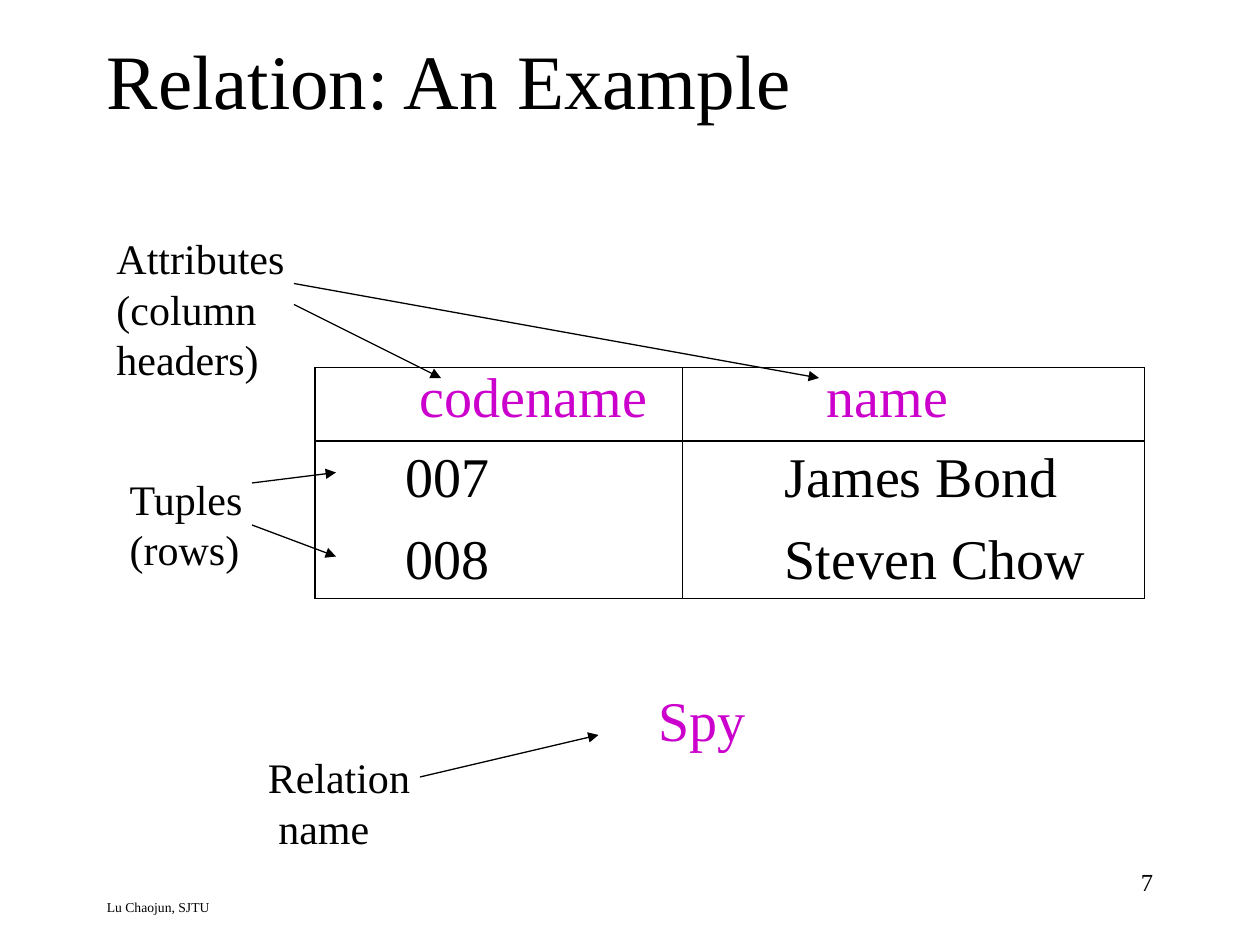
from lxml import etree
from pptx import Presentation
from pptx.dml.color import RGBColor
from pptx.enum import shapes, text
from pptx.oxml import ns
from pptx.util import Pt

HUES = {"ink": "000000", "key": "CC00CC"}
FACE = "Times New Roman"
LINE = 0.74


def style(run, size, hue="ink"):
    """Give a run its face, size and colour."""
    for name, value in {"name": FACE, "size": Pt(size)}.items():
        setattr(run.font, name, value)
    run.font.color.rgb = RGBColor.from_string(HUES[hue])


def add_text(slide, box, lines, size, hue="ink", pitch=None,
             align=text.PP_ALIGN.LEFT, **frame):
    """Place a text box with one paragraph per line."""
    body = slide.shapes.add_textbox(*map(Pt, box)).text_frame
    look = {"word_wrap": True, "margin_left": Pt(7.2), "margin_right": Pt(7.2),
            "margin_top": Pt(3.6), "margin_bottom": Pt(3.6), **frame}
    for name, value in look.items():
        setattr(body, name, value)
    for i, line in enumerate(lines):
        para = body.add_paragraph() if i else body.paragraphs[0]
        para.alignment = align
        if pitch:
            para.line_spacing = Pt(pitch)
        run = para.add_run()
        run.text = line
        style(run, size, hue)


def add_arrow(slide, start, end):
    """Draw a thin arrow from start to end."""
    arrow = slide.shapes.add_connector(
        shapes.MSO_CONNECTOR.STRAIGHT, *map(Pt, start + end))
    arrow.line.width = Pt(LINE)
    arrow.line.color.rgb = RGBColor.from_string(HUES["ink"])
    props = arrow.line._get_or_add_ln()
    etree.SubElement(props, ns.qn("a:tailEnd"), type="triangle")
    etree.SubElement(arrow._element.spPr, ns.qn("a:effectLst"))


def add_label(slide, box, lines, arrows):
    """Place a label and its arrows, given relative to the label's corner."""
    left, top = box[:2]
    add_text(slide, box, lines, 24, pitch=28.8)
    for x1, y1, x2, y2 in arrows:
        add_arrow(slide, (left + x1, top + y1), (left + x2, top + y2))


def set_edges(cell, drawn):
    """Draw the named cell edges and clear the others."""
    props = cell._tc.get_or_add_tcPr()
    for i, side in enumerate("LRTB"):
        edge = etree.Element(ns.qn("a:ln" + side), w=str(Pt(LINE)))
        if side in drawn:
            fill = etree.SubElement(edge, ns.qn("a:solidFill"))
            etree.SubElement(fill, ns.qn("a:srgbClr"), val=HUES["ink"])
        else:
            etree.SubElement(edge, ns.qn("a:noFill"))
        props.insert(i, edge)


def add_grid(slide, box, widths, heights, rows, pads):
    """Place the relation table: ruled header, unruled tuples."""
    table = slide.shapes.add_table(
        len(rows), len(widths), *map(Pt, box)).table
    table.first_row = table.horz_banding = False
    for col, width in zip(table.columns, widths):
        col.width = Pt(width)
    for r, (row, height) in enumerate(zip(rows, heights)):
        table.rows[r].height = Pt(height)
        edges = "LR" + ("TB" if r == 0 else "")
        edges += "T" if r == 1 else ""
        edges += "B" if r == len(rows) - 1 else ""
        for c, value in enumerate(row):
            cell = table.cell(r, c)
            look = {"margin_left": Pt(pads[r > 0][c]), "margin_right": 0,
                    "margin_top": Pt(4 if r else 0), "margin_bottom": 0}
            for name, length in look.items():
                setattr(cell, name, length)
            cell.fill.background()
            run = cell.text_frame.paragraphs[0].add_run()
            run.text = value
            style(run, 32, "ink" if r else "key")
            set_edges(cell, edges)


def build():
    """Build the slide and save it."""
    deck = Presentation()
    deck.slide_width, deck.slide_height = Pt(720), Pt(540)
    slide = deck.slides.add_slide(deck.slide_layouts[6])
    add_text(slide, (54, 510, 417.6, 18), ["Lu Chaojun, SJTU"], 7.8)
    add_text(slide, (54, 0, 612, 90), ["Relation: An Example"], 44,
             vertical_anchor=text.MSO_ANCHOR.MIDDLE)
    add_text(slide, (516, 492, 150, 36), ["7"], 14,
             align=text.PP_ALIGN.RIGHT)
    add_grid(slide, (180, 210, 474, 132), (210, 264), (42, 46.5, 43.5),
             [("codename", "name"), ("007", "James Bond"),
              ("008", "Steven Chow")],
             [(60, 82.5), (52, 58.5)])
    add_text(slide, (369, 388, 70, 46), ["Spy"], 32, "key")
    add_label(slide, (59.5, 129.6, 116, 93.6),
              ["Attributes", "(column", "headers)"],
              [(108.5, 44.4, 192.5, 86.4), (108.5, 32.4, 408.5, 86.4)])
    add_label(slide, (67, 267, 84, 64.8), ["Tuples", "(rows)"],
              [(77, 9, 125, 3), (77, 33, 125, 51)])
    add_label(slide, (146, 426, 102, 64.8), ["Relation", " name"],
              [(94, 18, 196, -6)])
    deck.save("out.pptx")


build()
